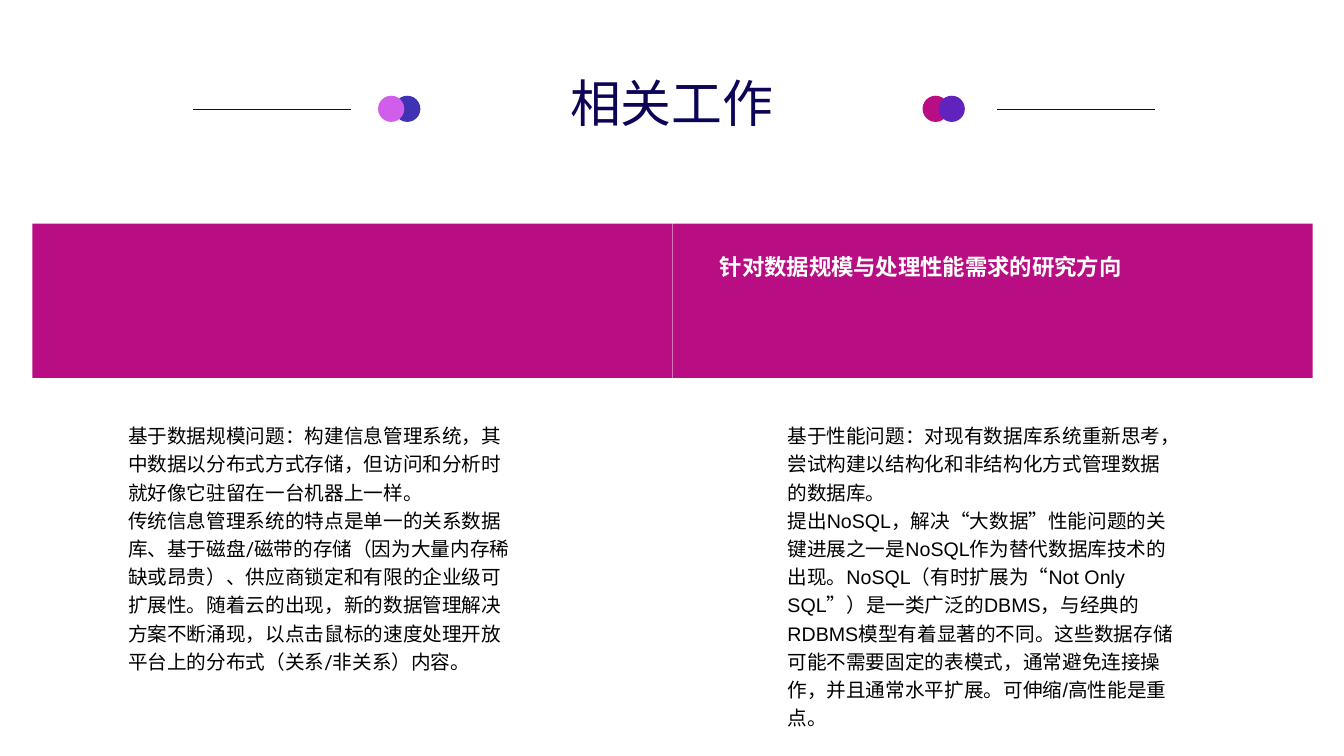
from dataclasses import dataclass

from lxml import etree
from pptx import Presentation
from pptx.dml.color import RGBColor
from pptx.enum import shapes as kinds, text as txt
from pptx.oxml import ns
from pptx.util import Inches, Pt

NAVY, PINK, WHITE, BLACK = "0C0457", "B90E83", "FFFFFF", "000000"
DOT, DOT_TOP = 0.26, 0.95
BAND_TOP, BAND_W, BAND_H = 2.22, 6.35, 1.53
RULE_Y, RULE_W = 1.09, 1.57


@dataclass
class Block:
    left: float
    top: float
    width: float
    height: float
    lines: list[str]
    font: dict
    para: dict
    inset: float = 0


@dataclass
class Mark:
    kind: int
    left: float
    top: float
    width: float
    height: float
    color: str


def paint(target, color: str) -> None:
    """Give a fill or a font a solid colour."""
    if hasattr(target, "solid"):
        target.solid()
        target.fore_color.rgb = RGBColor.from_string(color)
    else:
        target.color.rgb = RGBColor.from_string(color)


def apply(target, style: dict) -> None:
    for name, value in style.items():
        if name == "ink":
            paint(target, value)
        else:
            setattr(target, name, value)


def place(shape, left: float, top: float, width: float, height: float) -> None:
    shape.left, shape.top = Inches(left), Inches(top)
    shape.width, shape.height = Inches(width), Inches(height)


def write(shape, block: Block) -> None:
    place(shape, block.left, block.top, block.width, block.height)
    frame = shape.text_frame
    frame.text = "\n".join(block.lines)
    frame.word_wrap = True
    frame.auto_size = txt.MSO_AUTO_SIZE.NONE
    for side in ("left", "right"):
        setattr(frame, f"margin_{side}", Inches(block.inset))
    for side in ("top", "bottom"):
        setattr(frame, f"margin_{side}", Inches(block.inset / 2))
    for par in frame.paragraphs:
        apply(par, block.para)
        apply(par.runs[0].font, block.font)
        props = par._p.get_or_add_pPr()
        props.set("marL", "0")
        props.set("indent", "0")
        etree.SubElement(props, ns.qn("a:buNone"))


def draw(slide, mark: Mark) -> None:
    shape = slide.shapes.add_shape(
        mark.kind, Inches(mark.left), Inches(mark.top),
        Inches(mark.width), Inches(mark.height))
    shape.shadow.inherit = False
    paint(shape.fill, mark.color)
    shape.line.fill.background()


def rule(slide, left: float) -> None:
    """Draw a thin line beside the title."""
    line = slide.shapes.add_connector(
        kinds.MSO_CONNECTOR.STRAIGHT, Inches(left), Inches(RULE_Y),
        Inches(left + RULE_W), Inches(RULE_Y))
    paint(line.line.fill, NAVY)
    line.line.width = Pt(0.5)
    etree.SubElement(line._element.spPr, ns.qn("a:effectLst"))


TITLE = Block(
    4.36, 0.81, 4.61, 0.55, ["相关工作"],
    {"size": Pt(36.3), "name": "Arial", "ink": NAVY},
    {"alignment": txt.PP_ALIGN.CENTER, "line_spacing": 0.7}, 0.1)

HEAD = Block(
    7.04, 2.46, 4.41, 0.37, ["针对数据规模与处理性能需求的研究方向"],
    {"size": Pt(16), "name": "Arial", "bold": True, "ink": WHITE},
    {"alignment": txt.PP_ALIGN.LEFT}, 0.1)

BODY = {"size": Pt(14), "ink": BLACK}
FLOW = {"alignment": txt.PP_ALIGN.LEFT, "line_spacing": 1.2,
        "space_before": Pt(0)}

SCALE = Block(1.27, 4.16, 3.88, 2.52, [
    "基于数据规模问题：构建信息管理系统，其中数据以分布式方式存储，"
    "但访问和分析时就好像它驻留在一台机器上一样。",
    "传统信息管理系统的特点是单一的关系数据库、基于磁盘/磁带的存储"
    "（因为大量内存稀缺或昂贵）、供应商锁定和有限的企业级可扩展性。"
    "随着云的出现，新的数据管理解决方案不断涌现，"
    "以点击鼠标的速度处理开放平台上的分布式（关系/非关系）内容。",
], BODY | {"name": "Roboto"}, FLOW)

SPEED = Block(7.81, 4.16, 3.88, 3.09, [
    "基于性能问题：对现有数据库系统重新思考，"
    "尝试构建以结构化和非结构化方式管理数据的数据库。",
    "提出NoSQL，解决“大数据”性能问题的关键进展之一是NoSQL作为替代"
    "数据库技术的出现。NoSQL（有时扩展为“Not Only SQL”）是一类广泛的"
    "DBMS，与经典的RDBMS模型有着显著的不同。"
    "这些数据存储可能不需要固定的表模式，通常避免连接操作，"
    "并且通常水平扩展。可伸缩/高性能是重点。",
], BODY | {"name": "Arial"}, FLOW)

DOTS = [Mark(kinds.MSO_SHAPE.OVAL, left, DOT_TOP, DOT, DOT, color)
        for left, color in ((3.91, "3F32B3"), (3.75, "D05EEB"),
                            (9.15, PINK), (9.31, "6023BE"))]
BANDS = [Mark(kinds.MSO_SHAPE.RECTANGLE, 0.32 + i * BAND_W, BAND_TOP,
              BAND_W, BAND_H, PINK) for i in range(2)]


def main() -> None:
    deck = Presentation()
    deck.slide_width, deck.slide_height = Inches(13.33), Inches(7.5)
    slide = deck.slides.add_slide(deck.slide_layouts[3])
    for mark in DOTS + BANDS:
        draw(slide, mark)
    for left in (1.91, 9.89):
        rule(slide, left)
    for holder, block in zip(slide.placeholders, (TITLE, SCALE, SPEED)):
        write(holder, block)
    box = slide.shapes.add_textbox(0, 0, 0, 0)
    write(box, HEAD)
    deck.save("out.pptx")


if __name__ == "__main__":
    main()
